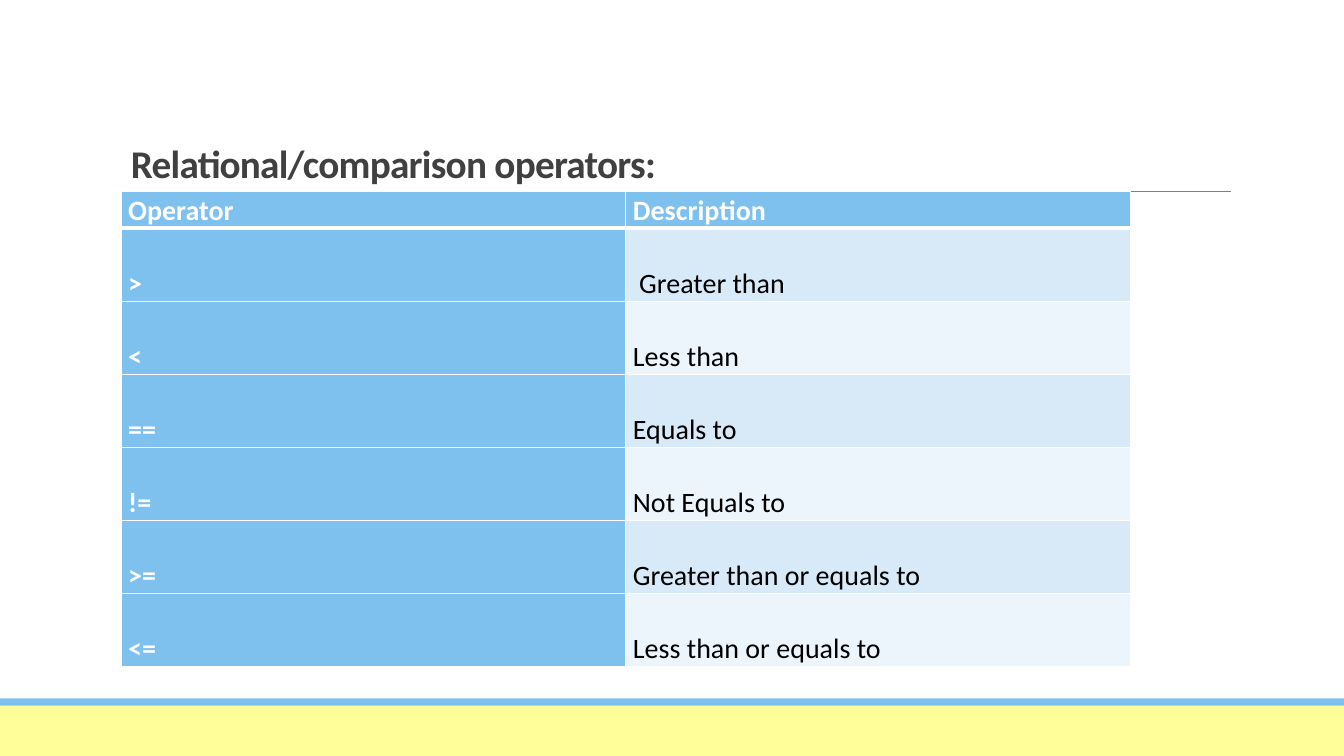
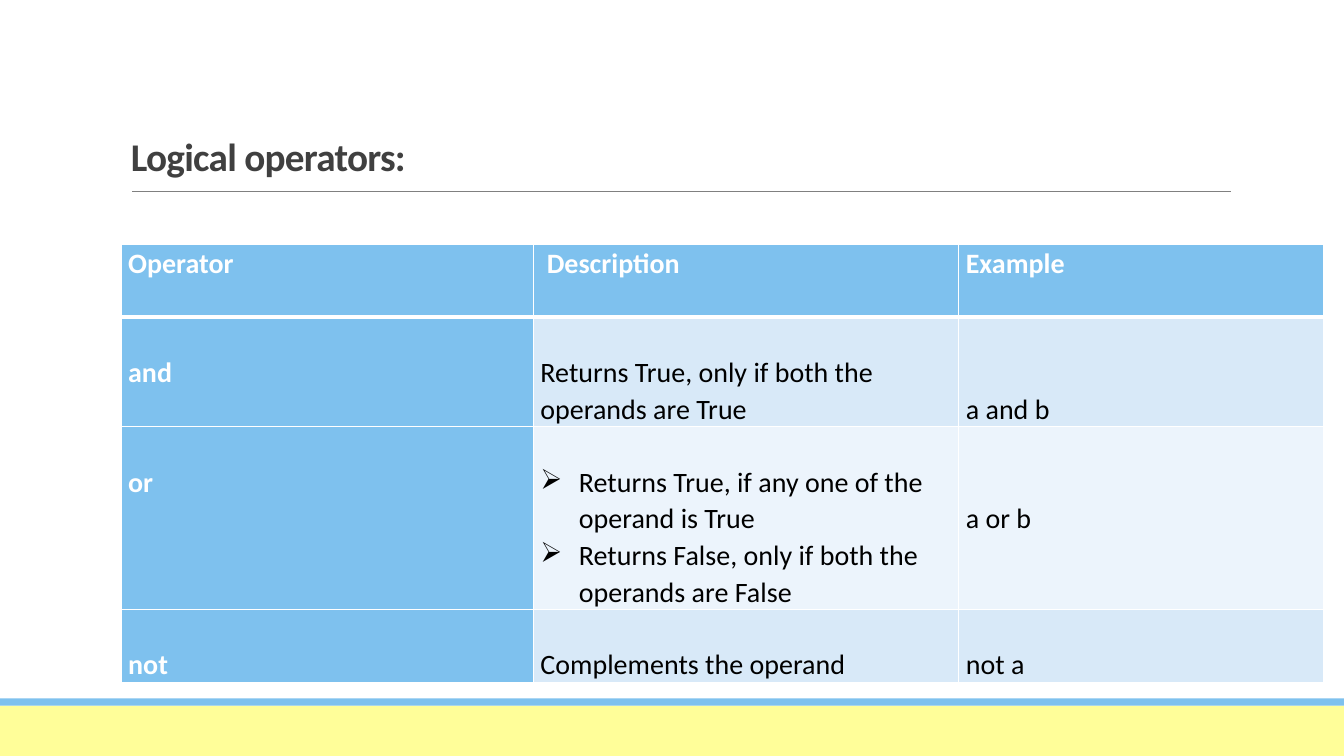
from dataclasses import dataclass

import lxml.etree
import pptx
import pptx.dml.color
import pptx.enum.shapes
import pptx.enum.text
import pptx.oxml.ns
import pptx.util

Cm = pptx.util.Cm
Pt = pptx.util.Pt
qn = pptx.oxml.ns.qn

# Shared look
COLOURS = {
    "blue": "7EC1EE", "yellow": "FFFE99", "rule": "808080", "title": "404040",
    "white": "FFFFFF", "black": "000000", "odd_row": "D8E9F8", "even_row": "ECF4FC",
}
FORMATS = {
    "title": {"name": "Calibri", "size": Pt(28), "bold": True},
    "heading": {"name": "Calibri", "size": Pt(20), "bold": True},
    "body": {"name": "Calibri", "size": Pt(20), "bold": False},
}
SLIDE_WIDTH, SLIDE_HEIGHT = 33.87, 19.05
TABLE_LEFT = 3.05
TEXT_LINE = 0.92
BULLET_INDENT = 0.97


@dataclass
class Entry:
    """Text of a table cell, with the number of lines it is lowered by."""
    paragraphs: tuple
    lowered: int = 1
    bullet: str = ""


def colour(name):
    return pptx.dml.color.RGBColor.from_string(COLOURS[name])


def write(paragraph, text, style, colour_name, line_spacing):
    paragraph.line_spacing = line_spacing
    run = paragraph.add_run()
    run.text = text
    for attribute, value in FORMATS[style].items():
        setattr(run.font, attribute, value)
    run.font.color.rgb = colour(colour_name)
    return run


# Slide frame
def add_band(slide, top, height, colour_name):
    band = slide.shapes.add_shape(
        pptx.enum.shapes.MSO_SHAPE.RECTANGLE,
        Cm(0), Cm(top), Cm(SLIDE_WIDTH), Cm(height))
    band.shadow.inherit = False
    band.fill.solid()
    band.fill.fore_color.rgb = colour(colour_name)
    band.line.fill.background()


def add_rule(slide):
    rule = slide.shapes.add_connector(
        pptx.enum.shapes.MSO_CONNECTOR.STRAIGHT,
        Cm(3.33), Cm(4.83), Cm(31.01), Cm(4.83))
    rule.line.color.rgb = colour("rule")
    rule.line.width = Pt(0.5)
    lxml.etree.SubElement(rule._element.spPr, qn("a:effectLst"))


def add_title(slide, text, top):
    box = slide.shapes.add_textbox(Cm(TABLE_LEFT), Cm(top), Cm(27.94), Cm(4.04))
    frame = box.text_frame
    frame.word_wrap = True
    frame.vertical_anchor = pptx.enum.text.MSO_ANCHOR.BOTTOM
    run = write(frame.paragraphs[0], text, "title", "title", 0.85)
    run.font._element.set("spc", "-50")


def add_framed_slide(presentation, title, title_top):
    slide = presentation.slides.add_slide(presentation.slide_layouts[6])
    add_band(slide, 17.78, 1.27, "yellow")
    add_band(slide, 17.6, 0.18, "blue")
    add_rule(slide)
    add_title(slide, title, title_top)
    return slide


# Table
def add_borders(cell, widths):
    properties = cell._tc.get_or_add_tcPr()
    for side, width in widths.items():
        border = lxml.etree.SubElement(
            properties, qn(f"a:ln{side}"), w=str(Pt(width)))
        fill = lxml.etree.SubElement(border, qn("a:solidFill"))
        lxml.etree.SubElement(fill, qn("a:srgbClr"), val=COLOURS["white"])


def add_bullet(paragraph, character):
    properties = paragraph._p.get_or_add_pPr()
    properties.set("marL", str(Cm(BULLET_INDENT)))
    properties.set("indent", str(-Cm(BULLET_INDENT)))
    lxml.etree.SubElement(properties, qn("a:buChar"), char=character)


def fill_cell(cell, entry, row, column):
    is_heading = row == 0 or column == 0
    # The heading row is parted from the body by a thick line
    add_borders(cell, {"L": 1, "R": 1, "T": 3 if row == 1 else 1,
                       "B": 3 if row == 0 else 1})
    cell.fill.solid()
    stripe = "odd_row" if row % 2 else "even_row"
    cell.fill.fore_color.rgb = colour("blue" if is_heading else stripe)
    margins = {"margin_left": 0.18, "margin_right": 0.18, "margin_bottom": 0,
               "margin_top": entry.lowered * TEXT_LINE}
    for attribute, value in margins.items():
        setattr(cell, attribute, Cm(value))
    frame = cell.text_frame
    for index, text in enumerate(entry.paragraphs):
        paragraph = frame.add_paragraph() if index else frame.paragraphs[0]
        write(paragraph, text, "heading" if is_heading else "body",
              "white" if is_heading else "black", 1.07)
        if entry.bullet:
            add_bullet(paragraph, entry.bullet)


def add_operator_table(slide, top, widths, row_lines, rows):
    """Draw rows whose heights are given in lines of text."""
    table = slide.shapes.add_table(
        len(rows), len(widths), Cm(TABLE_LEFT), Cm(top),
        Cm(sum(widths)), Cm(sum(row_lines) * TEXT_LINE)).table
    for column, width in zip(table.columns, widths):
        column.width = Cm(width)
    for row, (lines, entries) in enumerate(zip(row_lines, rows)):
        table.rows[row].height = Cm(lines * TEXT_LINE)
        for column, entry in enumerate(entries):
            if isinstance(entry, str):
                entry = Entry((entry,), lowered=min(row, 1))
            fill_cell(table.cell(row, column), entry, row, column)


# Content
RELATIONAL_ROWS = [
    ("Operator", "Description"),
    (">", " Greater than"),
    ("<", "Less than"),
    ("==", "Equals to"),
    ("!=", "Not Equals to"),
    (">=", "Greater than or equals to"),
    ("<=", "Less than or equals to"),
]
LOGICAL_ROWS = [
    ("Operator", " Description", "Example"),
    ("and", "Returns True, only if both the operands are True",
     Entry(("a and b",), lowered=2)),
    ("or", Entry(("Returns True, if any one of the operand is True",
                  "Returns False, only if both the operands are False"),
                 bullet="➢"),
     Entry(("a or b",), lowered=2)),
    ("not", "Complements the operand", "not a"),
]


def main():
    presentation = pptx.Presentation()
    presentation.slide_width = Cm(SLIDE_WIDTH)
    presentation.slide_height = Cm(SLIDE_HEIGHT)

    slide = add_framed_slide(presentation, "Relational/comparison operators:", 0.79)
    add_operator_table(slide, 4.83, [12.72] * 2, [1] + [2] * 6, RELATIONAL_ROWS)

    slide = add_framed_slide(presentation, "Logical operators:", 0.61)
    add_operator_table(slide, 6.15, [10.39, 10.72, 9.19], [2, 3, 5, 2], LOGICAL_ROWS)

    presentation.save("out.pptx")


if __name__ == "__main__":
    main()
